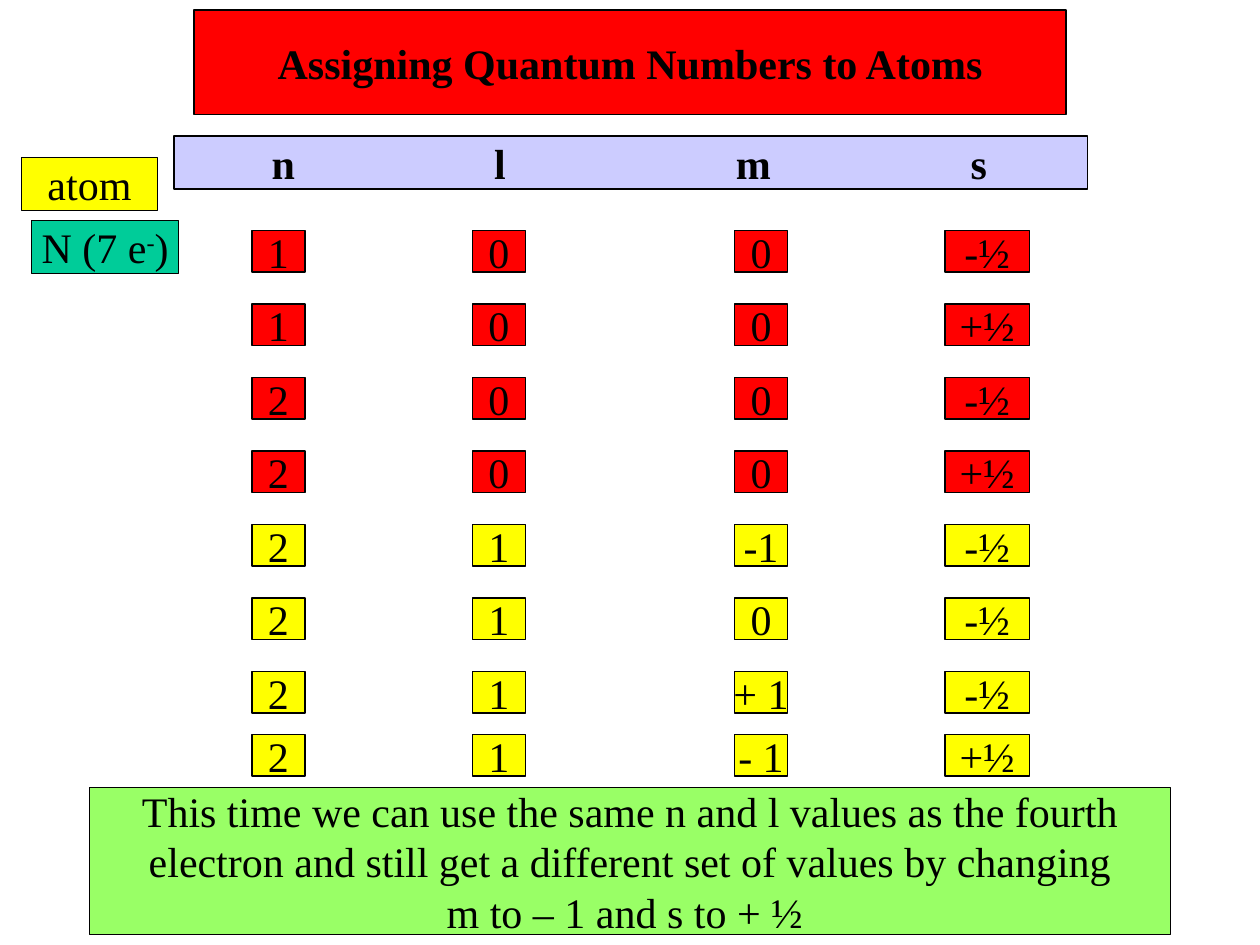
from dataclasses import dataclass
from typing import NamedTuple

from lxml.etree import SubElement
from pptx import Presentation
from pptx.dml.color import RGBColor
from pptx.enum.shapes import MSO_SHAPE
from pptx.enum.text import MSO_ANCHOR, MSO_AUTO_SIZE, PP_ALIGN
from pptx.oxml.ns import qn
from pptx.util import Inches, Pt


@dataclass(frozen=True)
class Theme:
    font: str = "Times New Roman"
    size: float = 24
    line_width: float = 0.74
    black: str = "000000"
    red: str = "FF0000"
    yellow: str = "FFFF00"
    lavender: str = "CCCCFF"
    teal: str = "00CC99"
    green: str = "99FF66"


class Box(NamedTuple):
    left: float
    top: float
    width: float
    height: float


class Column(NamedTuple):
    left: float
    width: float


class Electron(NamedTuple):
    n: str
    l: str
    m: str
    s: str


THEME = Theme()
TITLE_BOX = Box(1.54, 0.08, 6.92, 0.83)
HEADER_BOX = Box(1.38, 1.08, 7.25, 0.42)
ATOM_BOX = Box(0.17, 1.25, 1.08, 0.42)
NITROGEN_BOX = Box(0.25, 1.75, 1.17, 0.42)
NOTE_BOX = Box(0.71, 6.25, 8.58, 1.17)

HEADER_TABS = (0.77, 2.49, 4.5, 6.29)
COLUMNS = (Column(2, 0.42), Column(3.75, 0.42), Column(5.83, 0.42), Column(7.5, 0.67))
FIRST_ROW_TOP = 1.83
LAST_ROW_TOP = 5.83
ROW_PITCH = 7 / 12
ROW_HEIGHT = 0.33

ELECTRONS = (
    Electron("1", "0", "0", "-½"),
    Electron("1", "0", "0", "+½"),
    Electron("2", "0", "0", "-½"),
    Electron("2", "0", "0", "+½"),
    Electron("2", "1", "-1", "-½"),
    Electron("2", "1", "0", "-½"),
    Electron("2", "1", "+ 1", "-½"),
    Electron("2", "1", "- 1", "+½"),
)
NOTE = (
    "This time we can use the same n and l values as the fourth\n"
    "electron and still get a different set of values by changing\n"
    "m to – 1 and s to + ½ "
)


def format_box(shape, box: Box, fill: str, text: str, bold: bool = False, wrap: bool = False) -> None:
    shape.left, shape.top, shape.width, shape.height = (Inches(length) for length in box)
    shape.fill.solid()
    shape.fill.fore_color.rgb = RGBColor.from_string(fill)
    shape.line.color.rgb = RGBColor.from_string(THEME.black)
    shape.line.width = Pt(THEME.line_width)
    frame = shape.text_frame
    frame.text = text
    frame.word_wrap = wrap
    frame.auto_size = MSO_AUTO_SIZE.NONE
    frame.vertical_anchor = MSO_ANCHOR.MIDDLE
    for paragraph in frame.paragraphs:
        paragraph.alignment = PP_ALIGN.CENTER
        paragraph.font.name = THEME.font
        paragraph.font.size = Pt(THEME.size)
        paragraph.font.bold = bold
        paragraph.font.color.rgb = RGBColor.from_string(THEME.black)


def add_box(slide, box: Box, fill: str, text: str, bold: bool = False, wrap: bool = False):
    shape = slide.shapes.add_shape(MSO_SHAPE.RECTANGLE, 0, 0, 0, 0)
    shape.shadow.inherit = False
    format_box(shape, box, fill, text, bold, wrap)
    return shape


def add_header(slide) -> None:
    header = add_box(slide, HEADER_BOX, THEME.lavender, "\tn\tl\tm\ts", bold=True, wrap=True)
    paragraph = header.text_frame.paragraphs[0]
    paragraph.alignment = PP_ALIGN.LEFT
    properties = paragraph._p.get_or_add_pPr()
    tabs = SubElement(properties, qn("a:tabLst"))
    properties.insert(0, tabs)
    for position in HEADER_TABS:
        SubElement(tabs, qn("a:tab"), pos=str(Inches(position)), algn="ctr")


def add_nitrogen(slide) -> None:
    nitrogen = add_box(slide, NITROGEN_BOX, THEME.teal, "N (7 e")
    paragraph = nitrogen.text_frame.paragraphs[0]
    charge = paragraph.add_run()
    charge.text = "-"
    charge._r.get_or_add_rPr().set("baseline", "30000")
    paragraph.add_run().text = ")"


def add_electrons(slide) -> None:
    for index, electron in enumerate(ELECTRONS):
        is_last = index == len(ELECTRONS) - 1
        top = LAST_ROW_TOP if is_last else FIRST_ROW_TOP + index * ROW_PITCH
        fill = THEME.red if electron.l == "0" else THEME.yellow
        for column, value in zip(COLUMNS, electron):
            add_box(slide, Box(column.left, top, column.width, ROW_HEIGHT), fill, value)


presentation = Presentation()
presentation.slide_width = Inches(10)
presentation.slide_height = Inches(7.5)
slide = presentation.slides.add_slide(presentation.slide_layouts[5])
format_box(slide.shapes.title, TITLE_BOX, THEME.red, "Assigning Quantum Numbers to Atoms", bold=True)
add_header(slide)
add_box(slide, ATOM_BOX, THEME.yellow, "atom")
add_nitrogen(slide)
add_electrons(slide)
add_box(slide, NOTE_BOX, THEME.green, NOTE)
presentation.save("out.pptx")
